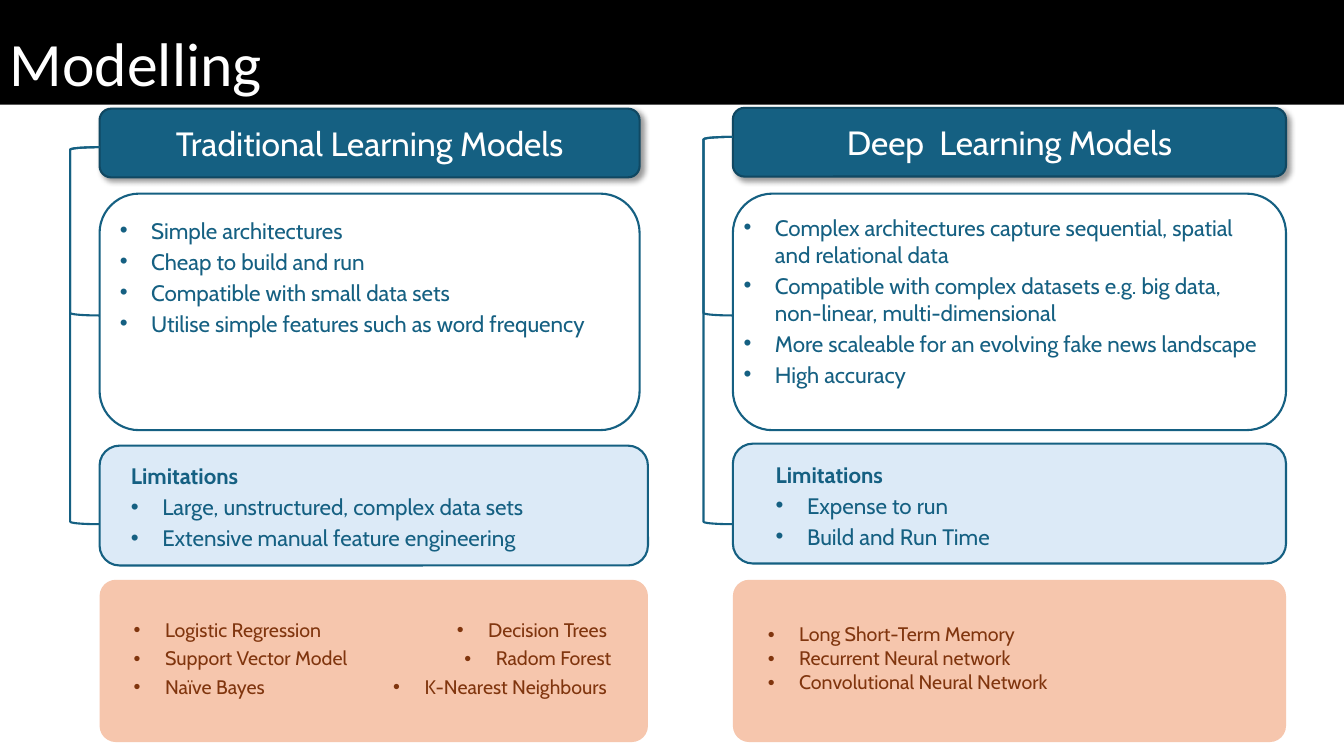
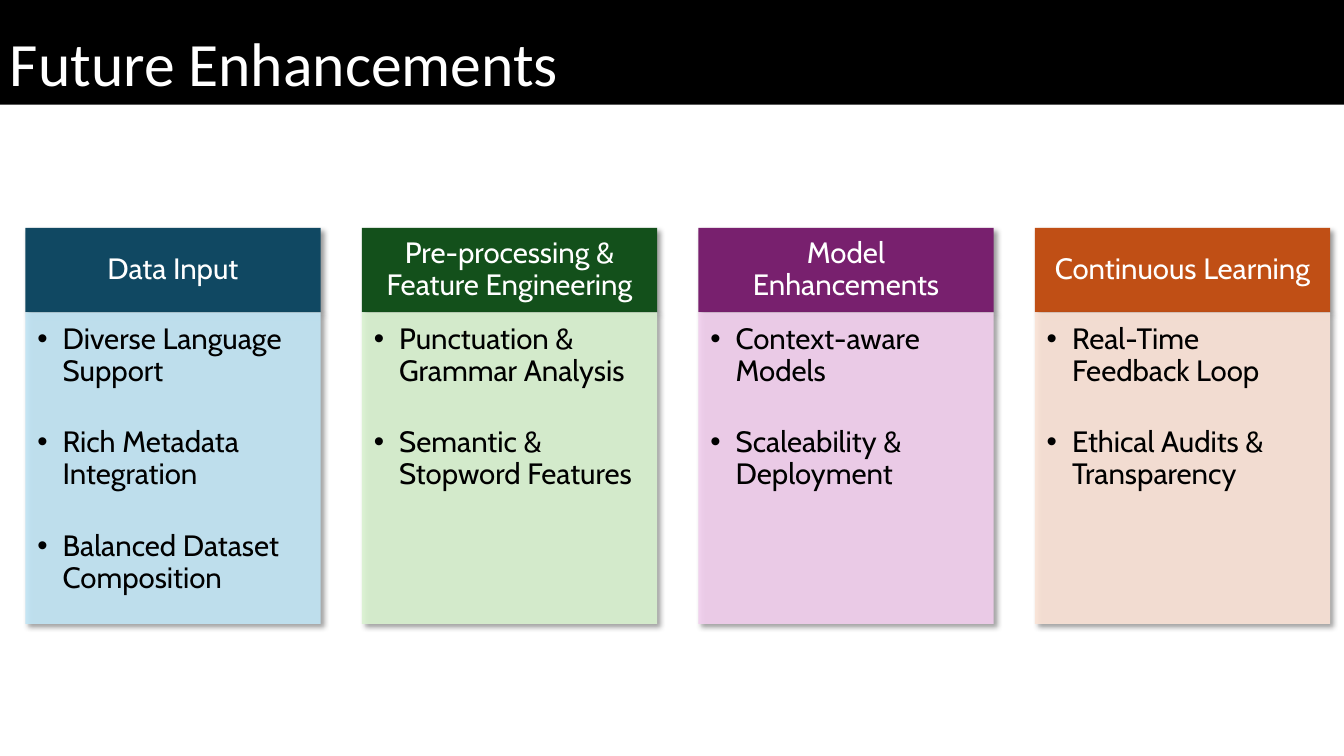
from dataclasses import dataclass

from lxml.etree import SubElement
from pptx import Presentation
from pptx.dml.color import RGBColor
from pptx.enum.shapes import MSO_SHAPE as Shape
from pptx.enum.text import MSO_ANCHOR as Anchor, MSO_AUTO_SIZE as AutoSize, PP_ALIGN as Align
from pptx.oxml.ns import qn
from pptx.util import Cm, Pt

WHITE = RGBColor(0xFF, 0xFF, 0xFF)
BLACK = RGBColor(0x00, 0x00, 0x00)
BLUE = RGBColor(0x15, 0x60, 0x82)
DARK_BLUE = RGBColor(0x10, 0x48, 0x62)
PALE_BLUE = RGBColor(0xDC, 0xEA, 0xF7)
PEACH = RGBColor(0xF6, 0xC6, 0xAD)
BROWN = RGBColor(0x80, 0x35, 0x0E)
SKY = RGBColor(0xC1, 0xE5, 0xF5)
GREEN = RGBColor(0x13, 0x50, 0x1B)
PALE_GREEN = RGBColor(0xD9, 0xF2, 0xD0)
PURPLE = RGBColor(0x78, 0x20, 0x6E)
PALE_PURPLE = RGBColor(0xF2, 0xCF, 0xEE)
ORANGE = RGBColor(0xC0, 0x4F, 0x15)
PALE_ORANGE = RGBColor(0xFB, 0xE3, 0xD6)

BODY_FONT = "Cabin"
TITLE_FONT = "Calibri"
SLIDE_WIDTH, SLIDE_HEIGHT = 33.87, 19.05
TITLE_HEIGHT = 2.64
TEXT_INSETS = (0.25, 0.13, 0.25, 0.13)
TIGHT_INSETS = (0.05, 0.05, 0.05, 0.05)


@dataclass
class ModelFamily:
    """One column of the modelling slide, with the positions of its parts in cm."""
    name: str
    strengths: list
    limitations: list
    models: list
    left: float
    width: float
    upper_width: float
    header_top: float
    limits_top: float
    bracket_top: float
    strengths_box: tuple
    limits_text_box: tuple
    models_spacing: float


def add_bullet(paragraph, indent):
    properties = paragraph._p.get_or_add_pPr()
    properties.set("marL", str(Cm(indent)))
    properties.set("indent", str(-Cm(indent)))
    SubElement(properties, qn("a:buFont"), typeface="Arial")
    SubElement(properties, qn("a:buChar"), char="•")


def write_text(frame, lines, *, size, color, font=BODY_FONT, align=Align.LEFT,
               anchor=Anchor.TOP, insets=TEXT_INSETS, line_spacing=1.0,
               space_after=0, indent=None, heading=None):
    """Fill a text frame; an indent makes the lines bullets below the bold heading."""
    frame.word_wrap = True
    frame.auto_size = AutoSize.NONE
    frame.vertical_anchor = anchor
    (frame.margin_left, frame.margin_top,
     frame.margin_right, frame.margin_bottom) = map(Cm, insets)
    all_lines = [heading, *lines] if heading else lines
    for number, line in enumerate(all_lines):
        is_heading = bool(heading) and number == 0
        paragraph = frame.add_paragraph() if number else frame.paragraphs[0]
        paragraph.alignment = align
        paragraph.line_spacing = line_spacing
        paragraph.space_after = Pt(space_after)
        if indent and not is_heading:
            add_bullet(paragraph, indent)
        run = paragraph.add_run()
        run.text = line
        run.font.name = font
        run.font.size = Pt(size)
        run.font.bold = is_heading
        run.font.color.rgb = color


def add_text(slide, box, lines, **text_format):
    text_box = slide.shapes.add_textbox(*map(Cm, box))
    write_text(text_box.text_frame, lines, **text_format)


def add_shape(slide, kind, box, *, fill=None, line=None, opacity=100,
              shadow=False, corner=None):
    shape = slide.shapes.add_shape(kind, *map(Cm, box))
    shape.shadow.inherit = False
    if fill is None:
        shape.fill.background()
    else:
        shape.fill.solid()
        shape.fill.fore_color.rgb = fill
    if line is None:
        shape.line.fill.background()
    else:
        shape.line.color.rgb = line
        shape.line.width = Pt(1.5)
    if corner is not None:
        shape.adjustments[0] = corner
    properties = shape._element.spPr
    if opacity < 100:
        color = properties.find(qn("a:solidFill"))[0]
        SubElement(color, qn("a:alpha"), val=str(opacity * 1000))
    if shadow:
        outer = SubElement(properties.find(qn("a:effectLst")), qn("a:outerShdw"),
                           blurRad=str(Pt(4)), dist=str(Pt(3)), dir="2700000",
                           algn="tl", rotWithShape="0")
        color = SubElement(outer, qn("a:srgbClr"), val=str(BLACK))
        SubElement(color, qn("a:alpha"), val="40000")
    return shape


def add_titled_slide(presentation, title):
    slide = presentation.slides.add_slide(presentation.slide_layouts[6])
    band = add_shape(slide, Shape.RECTANGLE, (0, 0, SLIDE_WIDTH, TITLE_HEIGHT), fill=BLACK)
    write_text(band.text_frame, [title], size=44, color=WHITE, font=TITLE_FONT,
               anchor=Anchor.BOTTOM, line_spacing=0.9)
    return slide


def add_model_family(slide, family):
    left, bracket_width = family.left, 0.74
    rounded = Shape.ROUNDED_RECTANGLE
    header = add_shape(slide, rounded, (left, family.header_top, family.upper_width, 1.73),
                       fill=BLUE, line=DARK_BLUE, shadow=True)
    write_text(header.text_frame, [family.name], size=24, color=WHITE,
               align=Align.CENTER, anchor=Anchor.MIDDLE)
    add_shape(slide, rounded, (left, 4.88, family.upper_width, 5.96), line=BLUE)
    add_shape(slide, rounded, (left, family.limits_top, family.width, 3.02),
              fill=PALE_BLUE, line=BLUE)
    add_shape(slide, rounded, (left, 14.61, family.width, 4.09), fill=PEACH, corner=0.1)
    for bracket_bottom in (7.95, 13.21):
        add_shape(slide, Shape.LEFT_BRACKET,
                  (left - bracket_width, family.bracket_top,
                   bracket_width, bracket_bottom - family.bracket_top), line=BLUE)

    bullets = dict(size=16, color=BLUE, space_after=3, indent=0.79)
    add_text(slide, family.strengths_box, family.strengths, **bullets)
    add_text(slide, family.limits_text_box, family.limitations,
             heading="Limitations", **bullets)
    for offset, width, align, names in family.models:
        add_text(slide, (left + offset, 14.92, width, 3.4), names, size=14, color=BROWN,
                 align=align, anchor=Anchor.MIDDLE, insets=TIGHT_INSETS,
                 line_spacing=0.9, space_after=family.models_spacing, indent=0.79)


def add_enhancement_card(slide, box, heading, items, dark, pale):
    left, top, width, height = box
    header_height = 2.13
    header = add_shape(slide, Shape.RECTANGLE, (left, top, width, header_height),
                       fill=dark, shadow=True)
    write_text(header.text_frame, [heading], size=21, color=WHITE, align=Align.CENTER,
               anchor=Anchor.MIDDLE, insets=(0.4, 0.23, 0.4, 0.23), line_spacing=0.9)
    body = (left, top + header_height, width, height - header_height)
    add_shape(slide, Shape.RECTANGLE, body, fill=pale, opacity=90, shadow=True)
    add_text(slide, body, items, size=21, color=BLACK, insets=(0.3, 0.3, 0.4, 0.46),
             line_spacing=0.9, space_after=28.5, indent=0.64)


MODEL_FAMILIES = [
    ModelFamily(
        name="Traditional Learning Models",
        strengths=["Simple architectures", "Cheap to build and run",
                   "Compatible with small data sets",
                   "Utilise simple features such as word frequency"],
        limitations=["Large, unstructured, complex data sets",
                     "Extensive manual feature engineering"],
        models=[
            (0.81, 5.74, Align.LEFT,
             ["Logistic Regression", "Support Vector Model", "Naïve Bayes"]),
            (7.21, 5.74, Align.RIGHT,
             ["Decision Trees ", "Radom Forest", "K-Nearest Neighbours "]),
        ],
        left=2.51, width=13.82, upper_width=13.61, header_top=2.74, limits_top=11.23,
        bracket_top=3.71, strengths_box=(2.77, 5.33, 13.44, 3.3),
        limits_text_box=(3.05, 11.51, 12.55, 2.26), models_spacing=5),
    ModelFamily(
        name="Deep  Learning Models",
        strengths=["Complex architectures capture sequential, spatial and relational data",
                   "Compatible with complex datasets e.g. big data, "
                   "non-linear, multi-dimensional",
                   "More scaleable for an evolving fake news landscape",
                   "High accuracy"],
        limitations=["Expense to run", "Build and Run Time"],
        models=[
            (0.83, 7.7, Align.LEFT,
             ["Long Short-Term Memory", "Recurrent Neural network",
              "Convolutional Neural Network"]),
        ],
        left=18.47, width=13.94, upper_width=13.94, header_top=2.72, limits_top=11.18,
        bracket_top=3.45, strengths_box=(18.49, 5.26, 13.61, 5.36),
        limits_text_box=(19.3, 11.48, 8.03, 2.51), models_spacing=2),
]

ENHANCEMENTS = [
    ("Data Input",
     ["Diverse Language Support", "Rich Metadata Integration",
      "Balanced Dataset Composition"], DARK_BLUE, SKY),
    ("Pre-processing & Feature Engineering",
     ["Punctuation & Grammar Analysis", "Semantic & Stopword Features"],
     GREEN, PALE_GREEN),
    ("Model Enhancements",
     ["Context-aware Models", "Scaleability & Deployment"], PURPLE, PALE_PURPLE),
    ("Continuous Learning",
     ["Real-Time Feedback Loop", "Ethical Audits & Transparency"], ORANGE, PALE_ORANGE),
]


def build_modelling_slide(presentation):
    slide = add_titled_slide(presentation, "Modelling")
    for family in MODEL_FAMILIES:
        add_model_family(slide, family)


def build_enhancements_slide(presentation):
    slide = add_titled_slide(presentation, "Future Enhancements")
    card_width, card_pitch = 7.44, 8.48
    for column, enhancement in enumerate(ENHANCEMENTS):
        box = (0.64 + column * card_pitch, 5.74, card_width, 9.98)
        add_enhancement_card(slide, box, *enhancement)


def main():
    presentation = Presentation()
    presentation.slide_width = Cm(SLIDE_WIDTH)
    presentation.slide_height = Cm(SLIDE_HEIGHT)
    build_modelling_slide(presentation)
    build_enhancements_slide(presentation)
    presentation.save("out.pptx")


if __name__ == "__main__":
    main()
